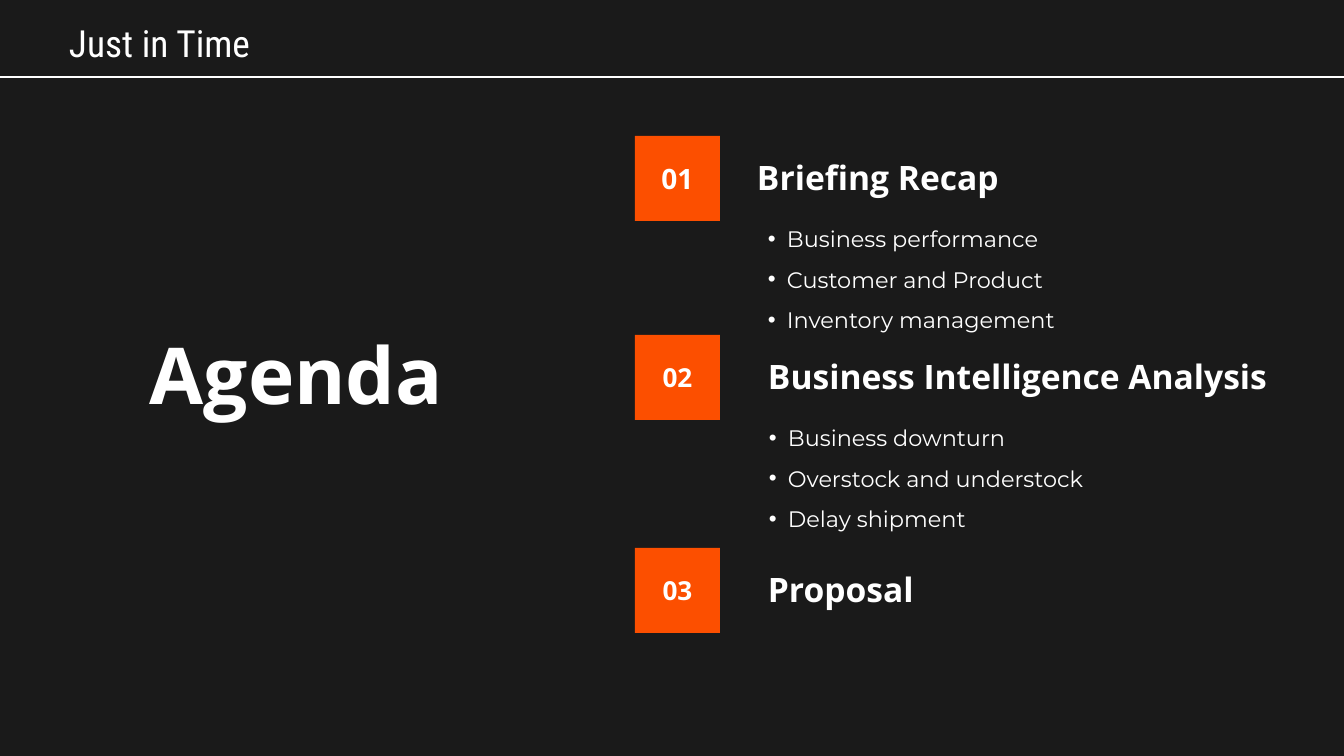
from dataclasses import dataclass

from lxml.etree import SubElement
from pptx import Presentation
from pptx.dml.color import RGBColor
from pptx.enum.shapes import MSO_CONNECTOR, MSO_SHAPE
from pptx.enum.text import MSO_ANCHOR, MSO_AUTO_SIZE, PP_ALIGN
from pptx.oxml.ns import qn
from pptx.slide import Slide
from pptx.text.text import TextFrame
from pptx.util import Emu, Pt

EMU_PER_PX = 914400 / 134.4
SLIDE_W, SLIDE_H = 1344, 756
WHITE, ORANGE, DARK = "FFFFFF", "FC4F00", "1A1A1A"
HEADING_FONT, BODY_FONT, HEADER_FONT = "Open Sans", "Montserrat", "Roboto Condensed"
BADGE_LEFT, BADGE_SIZE = 635, 85
HEADING_DROP, TOPICS_DROP = 16, 71
BULLET_INDENT = 19


@dataclass
class AgendaItem:
    number: str
    heading: str
    top: int
    heading_left: int = 758
    heading_width: int = 546
    number_size: int = 14
    topics: tuple[str, ...] = ()
    topics_left: int = 758


ITEMS = [
    AgendaItem("01", "Briefing Recap", 136, heading_left=747, number_size=15,
               topics=("Business performance", "Customer and Product",
                       "Inventory management")),
    AgendaItem("02", "Business Intelligence Analysis", 335, topics_left=759,
               topics=("Business downturn", "Overstock and understock",
                       "Delay shipment")),
    AgendaItem("03", "Proposal", 548, heading_width=211),
]


def px(length: int) -> Emu:
    return Emu(round(length * EMU_PER_PX))


def color(value: str) -> RGBColor:
    return RGBColor.from_string(value)


def write(frame: TextFrame, text: str, size: int, font: str, bold: bool) -> None:
    frame.word_wrap = True
    frame.margin_left = frame.margin_right = px(10)
    frame.margin_top = frame.margin_bottom = px(5)
    frame.text = text
    for paragraph in frame.paragraphs:
        for run in paragraph.runs:
            run.font.size = Pt(size)
            run.font.name = font
            run.font.bold = bold
            run.font.color.rgb = color(WHITE)


def add_text(slide: Slide, left: int, top: int, width: int, height: int,
             text: str, size: int, font: str = HEADING_FONT,
             bold: bool = True) -> TextFrame:
    box = slide.shapes.add_textbox(px(left), px(top), px(width), px(height))
    write(box.text_frame, text, size, font, bold)
    box.text_frame.auto_size = MSO_AUTO_SIZE.SHAPE_TO_FIT_TEXT
    return box.text_frame


def add_badge(slide: Slide, item: AgendaItem) -> None:
    badge = slide.shapes.add_shape(MSO_SHAPE.RECTANGLE, px(BADGE_LEFT), px(item.top),
                                   px(BADGE_SIZE), px(BADGE_SIZE))
    badge.shadow.inherit = False
    badge.fill.solid()
    badge.fill.fore_color.rgb = color(ORANGE)
    badge.line.fill.background()
    write(badge.text_frame, item.number, item.number_size, HEADING_FONT, True)
    badge.text_frame.vertical_anchor = MSO_ANCHOR.MIDDLE
    badge.text_frame.paragraphs[0].alignment = PP_ALIGN.CENTER


def add_topics(slide: Slide, item: AgendaItem) -> None:
    frame = add_text(slide, item.topics_left, item.top + TOPICS_DROP, 521, 118,
                     "\n".join(item.topics), 12, BODY_FONT, bold=False)
    for paragraph in frame.paragraphs:
        paragraph.alignment = PP_ALIGN.JUSTIFY
        paragraph.line_spacing = 1.5
        properties = paragraph._p.get_or_add_pPr()
        properties.set("marL", str(px(BULLET_INDENT)))
        properties.set("indent", str(-px(BULLET_INDENT)))
        bullet_color = SubElement(properties, qn("a:buClr"))
        SubElement(bullet_color, qn("a:srgbClr"), val=WHITE)
        SubElement(properties, qn("a:buFont"), typeface="Arial")
        SubElement(properties, qn("a:buChar"), char="•")


def add_item(slide: Slide, item: AgendaItem) -> None:
    add_badge(slide, item)
    add_text(slide, item.heading_left, item.top + HEADING_DROP,
             item.heading_width, 51, item.heading, 18)
    if item.topics:
        add_topics(slide, item)


def add_header(slide: Slide) -> None:
    add_text(slide, 59, 15, 282, 55, "Just in Time", 20, HEADER_FONT, bold=False)
    rule = slide.shapes.add_connector(MSO_CONNECTOR.STRAIGHT, px(0), px(77),
                                      px(SLIDE_W), px(77))
    rule.line.color.rgb = color(WHITE)
    rule.line.width = Pt(1)
    SubElement(rule._element.spPr, qn("a:effectLst"))


def main() -> None:
    presentation = Presentation()
    presentation.slide_width, presentation.slide_height = px(SLIDE_W), px(SLIDE_H)
    slide = presentation.slides.add_slide(presentation.slide_layouts[6])

    # Background and header
    slide.background.fill.solid()
    slide.background.fill.fore_color.rgb = color(DARK)
    add_header(slide)

    # Title on the left, agenda on the right
    add_text(slide, 140, 321, 329, 105, "Agenda", 42)
    for item in ITEMS:
        add_item(slide, item)

    presentation.save("out.pptx")


if __name__ == "__main__":
    main()
